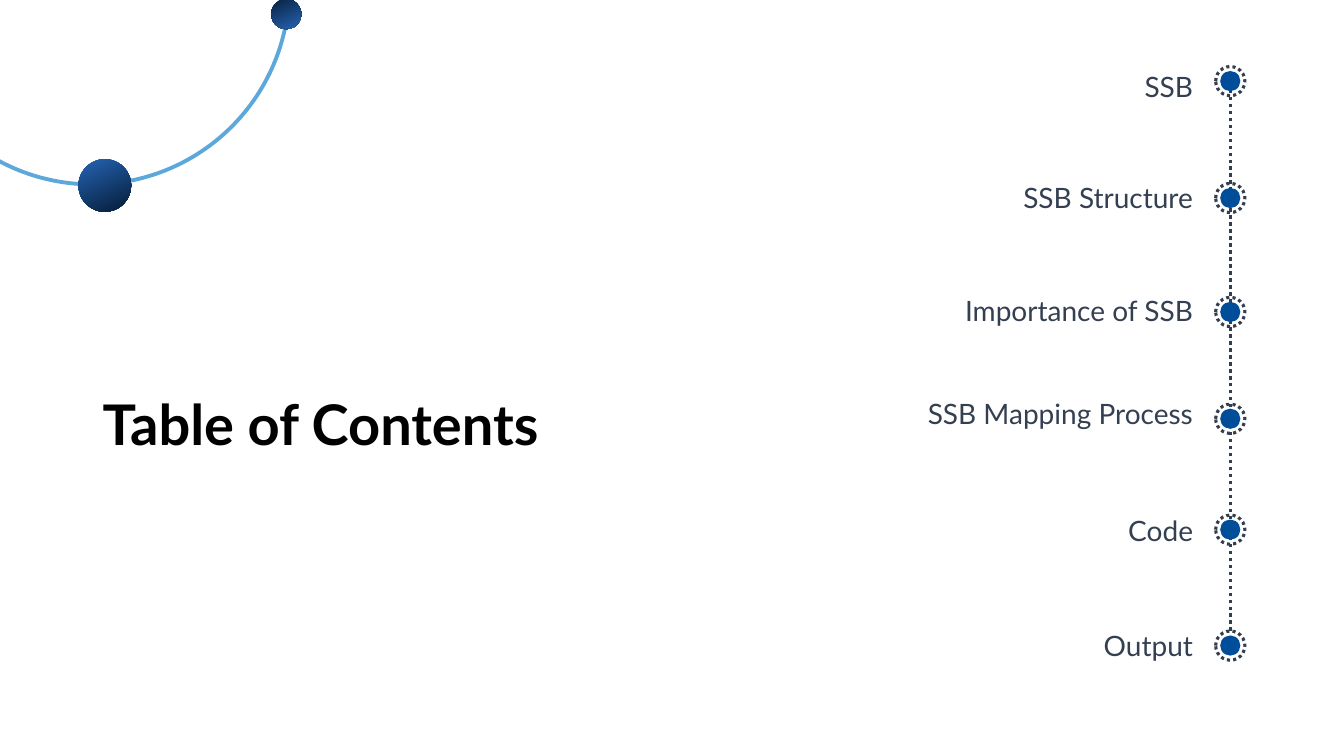
from lxml.etree import SubElement as Sub
from pptx import Presentation
from pptx.dml.color import RGBColor as RGB
from pptx.enum.dml import MSO_LINE as Dash
from pptx.enum.shapes import MSO_CONNECTOR as Wire, MSO_SHAPE as Form
from pptx.enum.text import MSO_ANCHOR as Anchor, MSO_AUTO_SIZE as Fit, PP_ALIGN as Align
from pptx.oxml.ns import qn
from pptx.util import Pt

HUES = {"title": "000000", "label": "344051", "line": "333F50", "dot": "004E9A",
        "arc": "5DA8DB", "light": "2665B4", "deep": "051C37", "dark": "092140"}
TITLE = "Table of Contents"
STOPS = [
    ("SSB", 49.7, 47.5, 185.8),
    ("SSB Structure", 128.9, 131, 185.8),
    ("Importance of SSB", 209.5, 212.4, 185.8),
    ("SSB Mapping Process", 283, 288.7, 226.8),
    ("Code", 366.5, 367.9, 185.8),
    ("Output", 449.3, 450.7, 185.8),
]
BALLS = [(74.9, 132.5, 37.6, "light", "deep"), (204.5, 10.1, 21.6, "dark", "light")]
ARC = (65.9, -9, 281.5)
AXIS, RING, DOT, EDGE = 878.8, 20.9, 14.4, 852.2
FRAME = {"margin_left": 0, "margin_top": 0, "margin_right": 0, "margin_bottom": 0,
         "word_wrap": True}


def hue(name):
    return RGB.from_string(HUES[name])


def put(item, **vals):
    for key, val in vals.items():
        setattr(item, key, val)


def write(box, text, size, tint, bold, align, frame, **para):
    put(box.text_frame, **FRAME, **frame)
    line = box.text_frame.paragraphs[0]
    put(line, alignment=align, **para)
    run = line.add_run()
    run.text = text
    put(run.font, name="Lato", size=Pt(size), bold=bold)
    run.font.color.rgb = hue(tint)


def stroke(line, tint, width, dash=None):
    line.color.rgb = hue(tint)
    line.width = Pt(width)
    if dash:
        line.dash_style = dash


def disc(x, y, size):
    shape = slide.shapes.add_shape(
        Form.OVAL, Pt(x - size / 2), Pt(y - size / 2), Pt(size), Pt(size))
    shape.shadow.inherit = False
    shape.fill.background()
    shape.line.fill.background()
    return shape


deck = Presentation()
put(deck, slide_width=Pt(960), slide_height=Pt(540))
slide = deck.slides.add_slide(deck.slide_layouts[5])

head = slide.shapes.title
put(head, left=Pt(73.4), top=Pt(283.7), width=Pt(395.3), height=Pt(42.5))
write(head, TITLE, 40, "title", True, Align.LEFT,
      {"vertical_anchor": Anchor.TOP, "auto_size": Fit.NONE}, line_spacing=Pt(42.4))

spine = slide.shapes.add_connector(Wire.STRAIGHT, Pt(AXIS), Pt(450.7), Pt(AXIS), Pt(54))
stroke(spine.line, "line", 2.5, Dash.ROUND_DOT)
Sub(spine.element.spPr, qn("a:effectLst"))

for text, top, ring_top, wide in STOPS:
    mid = ring_top + RING / 2
    ring = disc(AXIS, mid, RING)
    stroke(ring.line, "line", 2.25, Dash.ROUND_DOT)
    dot = disc(AXIS, mid, DOT)
    dot.fill.solid()
    dot.fill.fore_color.rgb = hue("dot")
    box = slide.shapes.add_textbox(Pt(EDGE - wide), Pt(top), Pt(wide), Pt(24.5))
    write(box, text, 20, "label", False, Align.RIGHT,
          {"auto_size": Fit.SHAPE_TO_FIT_TEXT})
spine.begin_connect(ring, 0)

stroke(disc(*ARC).line, "arc", 2.75)
for x, y, size, *tints in BALLS:
    fill = disc(x, y, size).fill
    fill.gradient()
    fill.gradient_angle = 294.5
    for stop, tint in zip(fill.gradient_stops, tints):
        stop.color.rgb = hue(tint)

deck.save("out.pptx")
